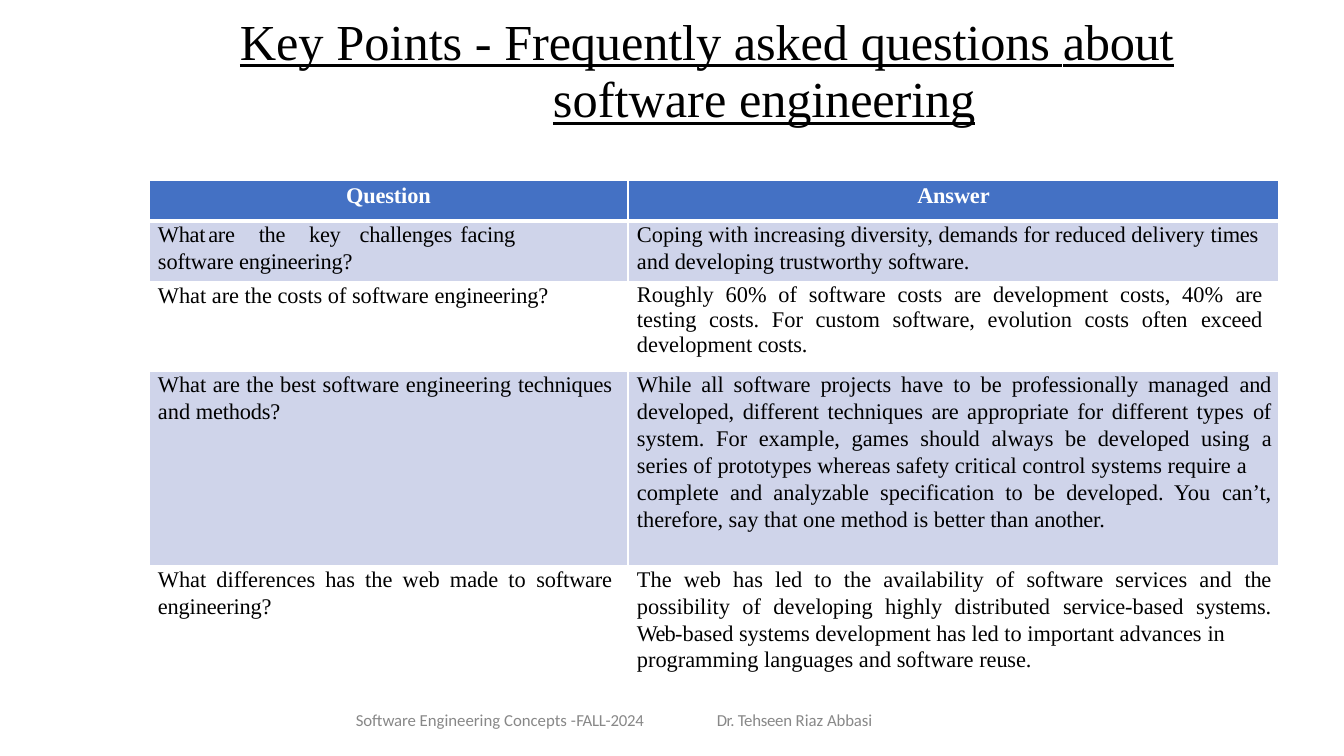
"""Build the slide of key questions and answers about software engineering."""
from dataclasses import dataclass
from typing import NamedTuple

import pptx
import pptx.dml.color
import pptx.enum.text
import pptx.oxml
import pptx.oxml.ns
import pptx.util

ALIGN = pptx.enum.text.PP_ALIGN
LEFT, MID, JUST = ALIGN.LEFT, ALIGN.CENTER, ALIGN.JUSTIFY


@dataclass(frozen=True)
class Theme:
    serif: str = "Times New Roman"
    sans: str = "Calibri"
    ink: str = "000000"
    white: str = "FFFFFF"
    grey: str = "888888"
    head: str = "4471C4"
    band: str = "CFD4EA"
    title: int = 36
    body: int = 16
    foot: int = 12


THEME = Theme()


class Face(NamedTuple):
    font: str
    size: int
    color: str
    bold: bool = False
    under: bool = False


class Run(NamedTuple):
    text: str
    track: float = 0


class Para(NamedTuple):
    runs: list[Run]
    lead: float | None = 19.2
    align: ALIGN = LEFT
    inset: int = 0
    tabs: tuple[int, ...] = ()


class Box(NamedTuple):
    left: int
    top: int
    width: int
    height: int
    face: Face
    paras: list[Para]


class Cell(NamedTuple):
    paras: list[Para]
    right: int = 0


class Row(NamedTuple):
    height: int
    fill: str
    cells: tuple[Cell, Cell]
    head: bool = False


TITLE = Face(THEME.serif, THEME.title, THEME.ink, under=True)
FOOT = Face(THEME.sans, THEME.foot, THEME.grey)
BODY = Face(THEME.serif, THEME.body, THEME.ink)
HEAD = Face(THEME.serif, THEME.body, THEME.white, bold=True)

BOXES = [
    Box(239, 13, 997, 117, TITLE, [
        Para([Run("Key", -0.1), Run(" ", 0.1), Run("Points"), Run(" -", -0.1), Run(" "),
              Run("Frequently", -0.1), Run(" ", 0.1), Run("asked", -0.1), Run(" ", 0.1),
              Run("questions", -0.1), Run(" ", 0.1), Run("about", -0.2)], 41, inset=1),
        Para([Run("software"), Run(" ", -1.2), Run("engineering", -0.1)], 41, inset=314)]),
    Box(355, 713, 294, 20, FOOT, [
        Para([Run("Software ", -0.1), Run("Engineering Concepts -"),
              Run("FALL-2024", -0.2)], 12.4, inset=1)]),
    Box(716, 713, 162, 20, FOOT, [
        Para([Run("Dr. ", -0.4), Run("Tehseen ", -0.2), Run("Riaz "),
              Run("Abbasi", -0.1)], 12.4, inset=1)]),
]

COLS = (479, 651)
ROWS = [
    Row(41, THEME.head, (
        Cell([Para([Run("Question", -0.1)], None, MID)]),
        Cell([Para([Run("Answer", -0.1)], None, MID)])), head=True),
    Row(61, THEME.band, (
        Cell([Para([Run("What\tare\tthe\tkey\t", -0.2),
                    Run("challenges\tfacing\tsoftware engineering?", -0.1)],
                   tabs=(74, 117, 160, 209, 320, 392))]),
        Cell([Para([Run("Coping with increasing diversity, demands for reduced delivery "),
                    Run("times ", -0.1), Run("and developing trustworthy "),
                    Run("software.", -0.1)])]))),
    Row(89, THEME.white, (
        Cell([Para([Run("What are the costs of software "), Run("engineering?", -0.1)], 18.7)]),
        Cell([Para([Run("Roughly 60% of software costs are development costs, 40% "),
                    Run("are ", -0.2),
                    Run("testing costs. For custom software, evolution costs often "),
                    Run("exceed ", -0.1), Run("development "), Run("costs.", -0.1)],
                   18, JUST)], 17))),
    Row(195, THEME.band, (
        Cell([Para([Run("What are the best software engineering "), Run("techniques ", -0.1),
                    Run("and "), Run("methods?", -0.1)], align=JUST)], 16),
        Cell([Para([Run("While all software projects have to be professionally managed "),
                    Run("and ", -0.2),
                    Run("developed, different techniques are appropriate for different types "),
                    Run("of ", -0.2),
                    Run("system. For example, games should always be developed using "),
                    Run("a ", -0.5),
                    Run("series of prototypes whereas safety critical control systems require "),
                    Run("a", -0.5)], align=JUST),
              Para([Run("complete and analyzable specification to be developed. You "),
                    Run("can’t, ", -0.1),
                    Run("therefore, say that one method is better than "),
                    Run("another.", -0.1)], align=JUST)], 8))),
    Row(125, THEME.white, (
        Cell([Para([Run("What differences has the web made to "),
                    Run("software engineering?", -0.1)], align=JUST)], 16),
        Cell([Para([Run("The web has led to the availability of software services and "),
                    Run("the ", -0.2), Run("possibility of developing highly distributed "),
                    Run("service-", -0.1), Run("based "), Run("systems. ", -0.1),
                    Run("Web-", -0.5),
                    Run("based systems development has led to important advances "),
                    Run("in", -0.2)], align=JUST),
              Para([Run("programming languages and software "), Run("reuse.", -0.1)],
                   18.6, JUST)], 8))),
]


def px(n: int) -> pptx.util.Emu:
    """Turn px into EMU."""
    return pptx.util.Emu(round(n * 914400 / 100.8))


def rgb(code: str) -> pptx.dml.color.RGBColor:
    """Read a colour from its hex code."""
    return pptx.dml.color.RGBColor.from_string(code)


def write(frame, paras: list[Para], face: Face) -> None:
    """Fill a text frame run by run."""
    for i, para in enumerate(paras):
        p = frame.add_paragraph() if i else frame.paragraphs[0]
        p.alignment = para.align
        props = p._p.get_or_add_pPr()
        props.set("marL", str(px(para.inset)))
        props.set("indent", "0")
        if para.lead:
            p.line_spacing = pptx.util.Pt(para.lead)
        if para.tabs:
            stops = "".join(f'<a:tab pos="{px(t)}" algn="l"/>' for t in para.tabs)
            props.append(pptx.oxml.parse_xml(
                f'<a:tabLst {pptx.oxml.ns.nsdecls("a")}>{stops}</a:tabLst>'))
        for part in para.runs:
            run = p.add_run()
            run.text = part.text
            font = run.font
            font.name, font.size = face.font, pptx.util.Pt(face.size)
            font.bold, font.underline = face.bold, face.under
            font.color.rgb = rgb(face.color)
            run._r.get_or_add_rPr().set("spc", str(round(part.track * 100)))


def edge(cell, sides: dict[str, int]) -> None:
    """Draw white borders of the given point widths."""
    for i, (side, width) in enumerate(sides.items()):
        cell._tc.get_or_add_tcPr().insert(i, pptx.oxml.parse_xml(
            f'<a:ln{side} {pptx.oxml.ns.nsdecls("a")} w="{pptx.util.Pt(width)}"><a:solidFill>'
            f'<a:srgbClr val="{THEME.white}"/></a:solidFill></a:ln{side}>'))


def draw_box(slide, box: Box) -> None:
    """Add a text box with no side margins."""
    frame = slide.shapes.add_textbox(*map(px, box[:4])).text_frame
    frame.word_wrap = True
    frame.margin_left = frame.margin_right = frame.margin_top = frame.margin_bottom = 0
    write(frame, box.paras, box.face)


def draw_grid(slide) -> None:
    """Add the table of questions and answers."""
    high = sum(row.height for row in ROWS)
    grid = slide.shapes.add_table(len(ROWS), len(COLS), px(149), px(180),
                                  px(sum(COLS)), px(high)).table
    grid.horz_banding = False
    for col, width in zip(grid.columns, COLS):
        col.width = px(width)
    for r, row in enumerate(ROWS):
        grid.rows[r].height = px(row.height)
        for c, item in enumerate(row.cells):
            cell = grid.cell(r, c)
            cell.margin_left = px(0 if row.head else 9)
            cell.margin_right = px(item.right)
            cell.margin_top = px(4 if row.head else 0)
            cell.margin_bottom = 0
            cell.fill.solid()
            cell.fill.fore_color.rgb = rgb(row.fill)
            edge(cell, {"L": 1, "R": 1, "T": 3 if r == 1 else 1, "B": 3 if row.head else 1})
            write(cell.text_frame, item.paras, HEAD if row.head else BODY)


def main() -> None:
    """Build and save the deck."""
    deck = pptx.Presentation()
    deck.slide_width, deck.slide_height = px(1344), px(756)
    slide = deck.slides.add_slide(deck.slide_layouts[6])
    for box in BOXES:
        draw_box(slide, box)
    draw_grid(slide)
    deck.save("out.pptx")


if __name__ == "__main__":
    main()
